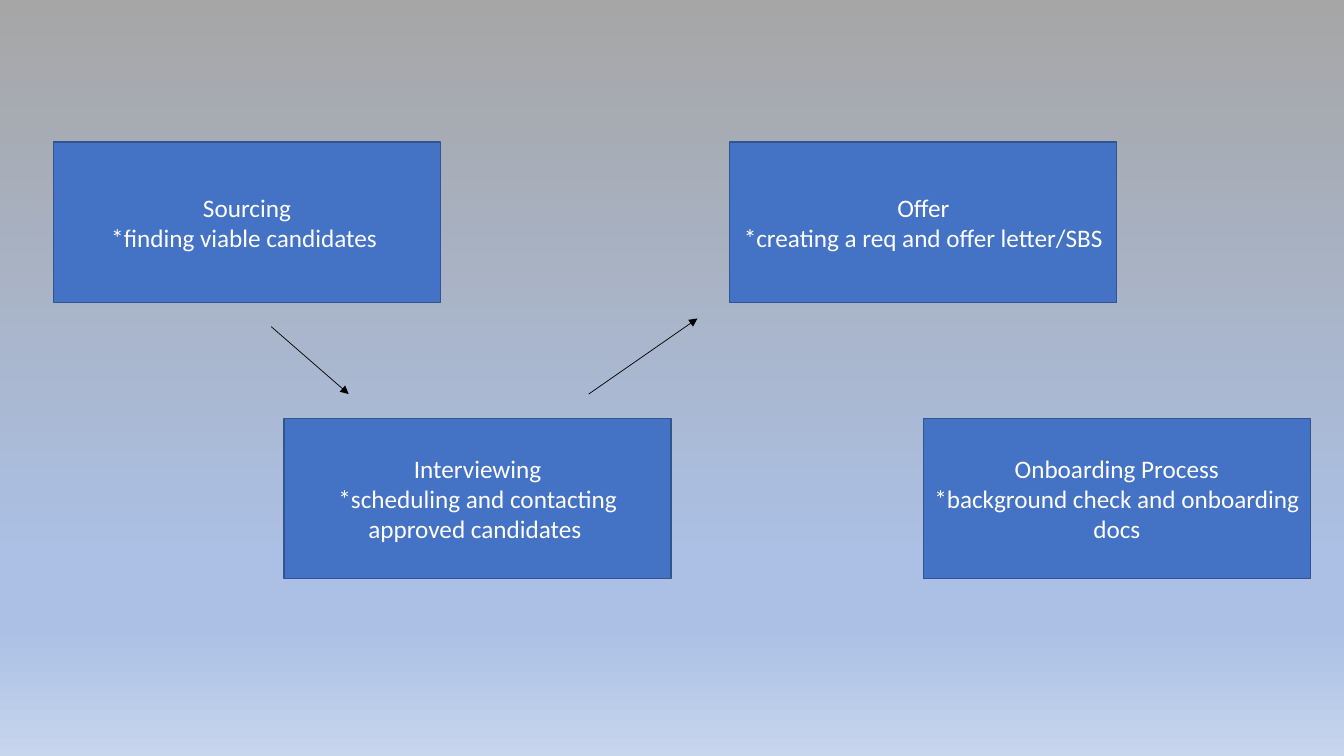
from dataclasses import dataclass

from lxml import etree
from pptx import Presentation
from pptx import util as u
from pptx.dml.color import RGBColor
from pptx.enum import shapes, text
from pptx.oxml.ns import qn

BOX_W, BOX_H = 276.5, 114.5
TOP_ROW, BOTTOM_ROW = 101.5, 298.8
BACKGROUND = [(0, "A6A6A6"), (74, "ABC0E4"), (83, "ABC0E4"), (100, "C7D5ED")]


@dataclass
class Step:
    title: str
    detail: str
    left: float
    top: float


@dataclass
class Arrow:
    x1: float
    y1: float
    x2: float
    y2: float


STEPS = [
    Step("Sourcing", "*finding viable candidates ", 38.2, TOP_ROW),
    Step("Offer", "*creating a req and offer letter/SBS", 521.3, TOP_ROW),
    Step("Interviewing", "*scheduling and contacting approved candidates ", 203, BOTTOM_ROW),
    Step("Onboarding Process", "*background check and onboarding docs", 659.5, BOTTOM_ROW),
]
ARROWS = [Arrow(193.7, 233.3, 249.1, 281.5), Arrow(420.5, 281.5, 498.2, 227.5)]


def color(value: str) -> RGBColor:
    return RGBColor.from_string(value)


def set_background(s) -> None:
    fill = s.background.fill
    fill.gradient()
    fill.gradient_angle = 270
    stops = s.element.find(".//" + qn("a:gsLst"))
    for stop in list(stops):
        stops.remove(stop)
    for percent, value in BACKGROUND:
        stop = etree.SubElement(stops, qn("a:gs"), pos=str(percent * 1000))
        etree.SubElement(stop, qn("a:srgbClr"), val=value)


def add_text(tf, line: str, *, first: bool = False, size: float = 18,
             font: str = "Calibri", fill: str = "FFFFFF") -> None:
    p = tf.paragraphs[0] if first else tf.add_paragraph()
    p.alignment = text.PP_ALIGN.CENTER
    r = p.add_run()
    r.text = line
    r.font.name, r.font.size = font, u.Pt(size)
    r.font.color.rgb = color(fill)


def draw_step(s, step: Step) -> None:
    sp = s.shapes.add_shape(shapes.MSO_SHAPE.RECTANGLE, u.Pt(step.left), u.Pt(step.top),
                            u.Pt(BOX_W), u.Pt(BOX_H))
    sp.shadow.inherit = False
    sp.fill.solid()
    sp.fill.fore_color.rgb = color("4472C4")
    sp.line.color.rgb = color("325491")
    sp.line.width = u.Pt(1)
    tf = sp.text_frame
    tf.word_wrap = True
    tf.vertical_anchor = text.MSO_ANCHOR.MIDDLE
    add_text(tf, step.title, first=True)
    add_text(tf, step.detail)


def draw_arrow(s, arrow: Arrow) -> None:
    line = s.shapes.add_connector(shapes.MSO_CONNECTOR.STRAIGHT, u.Pt(arrow.x1), u.Pt(arrow.y1),
                                  u.Pt(arrow.x2), u.Pt(arrow.y2))
    line.line.color.rgb = color("000000")
    line.line.width = u.Pt(0.5)
    sp_pr = line.element.spPr
    etree.SubElement(sp_pr.find(qn("a:ln")), qn("a:tailEnd"), type="triangle")
    etree.SubElement(sp_pr, qn("a:effectLst"))


def main() -> None:
    prs = Presentation()
    prs.slide_width, prs.slide_height = u.Pt(960), u.Pt(540)
    s = prs.slides.add_slide(prs.slide_layouts[6])
    set_background(s)

    # Process steps
    for step in STEPS:
        draw_step(s, step)

    # Arrows between the steps
    for arrow in ARROWS:
        draw_arrow(s, arrow)

    prs.save("out.pptx")


if __name__ == "__main__":
    main()
